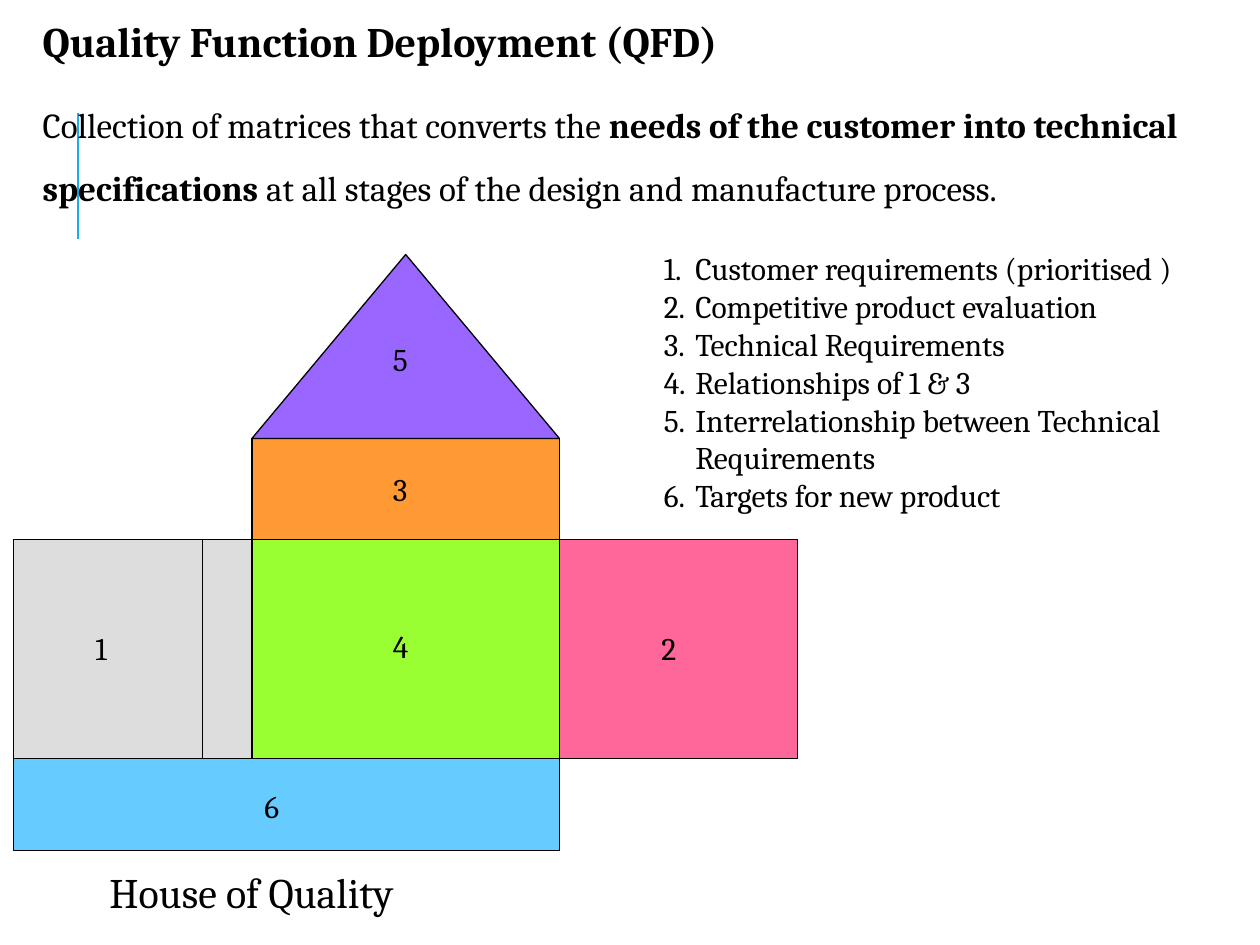
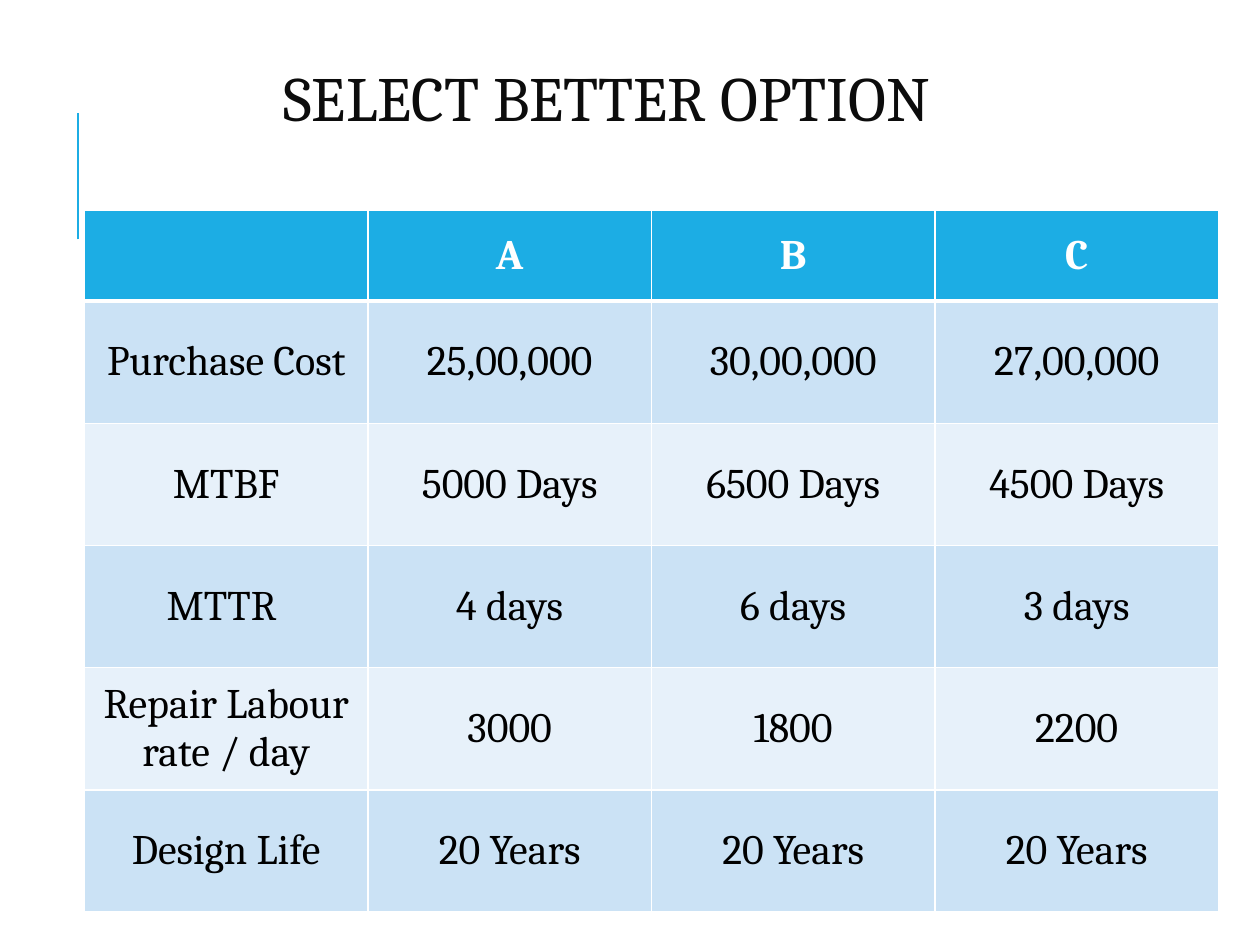
from dataclasses import dataclass

from lxml import etree
from pptx import Presentation
from pptx import util as u
from pptx.dml.color import RGBColor
from pptx.enum import shapes, text
from pptx.oxml import ns

SCALE = u.Inches(1) // 100
BOX = shapes.MSO_SHAPE.RECTANGLE
ROOF = shapes.MSO_SHAPE.ISOSCELES_TRIANGLE
MID = text.PP_ALIGN.CENTER


@dataclass(frozen=True)
class Theme:
    font: str = "Cambria"
    ink: str = "000000"
    title: str = "0C0C0C"
    blue: str = "1CADE4"
    white: str = "FFFFFF"
    bands: tuple = ("CBE2F5", "E7F1FA")
    grey: str = "DDDDDD"
    green: str = "99FF33"
    orange: str = "FF9933"
    pink: str = "FF6699"
    sky: str = "66CCFF"
    violet: str = "9966FF"
    huge: int = 36
    large: int = 24
    body: int = 20
    small: int = 18


T = Theme()

COLS = (11, 161, 200, 444, 633)
ROWS = (202, 348, 428, 602, 675)
ROOMS = (
    (BOX, 0, 1, 2, 3, T.grey),
    (BOX, 1, 2, 2, 3, T.grey),
    (BOX, 2, 3, 2, 3, T.green),
    (BOX, 2, 3, 1, 2, T.orange),
    (BOX, 3, 4, 2, 3, T.pink),
    (BOX, 0, 3, 3, 4, T.sky),
    (ROOF, 2, 3, 0, 1, T.violet),
)
MARKS = (("1", 66, 494), ("2", 515, 494), ("3", 302, 368),
         ("4", 302, 493), ("5", 302, 265), ("6", 200, 620))
PARTS = (
    "Customer requirements (prioritised )",
    "Competitive product evaluation",
    "Technical Requirements",
    "Relationships of 1 & 3",
    "Interrelationship between Technical Requirements",
    "Targets for new product",
)
DATA = (
    ("", "A", "B", "C"),
    ("Purchase Cost", "25,00,000", "30,00,000", "27,00,000"),
    ("MTBF", "5000 Days", "6500 Days", "4500 Days"),
    ("MTTR ", "4 days", "6 days", "3 days"),
    ("Repair Labour rate / day", "3000", "1800", "2200"),
    ("Design Life", "20 Years", "20 Years", "20 Years"),
)


def px(*nums):
    return [n * SCALE for n in nums]


def rgb(code):
    return RGBColor.from_string(code)


def add_sub(node, tag, **attrs):
    return etree.SubElement(node, ns.qn(tag), **attrs)


def add_run(para, words, size, bold=False, ink=T.ink):
    run = para.add_run()
    run.text = words
    font = run.font
    font.name, font.size, font.bold = T.font, u.Pt(size), bold
    font.color.rgb = rgb(ink)


def add_box(slide, *place):
    frame = slide.shapes.add_textbox(*px(*place)).text_frame
    frame.word_wrap = True
    return frame


def add_label(slide, words, size, *place):
    add_run(add_box(slide, *place).paragraphs[0], words, size)


def add_room(slide, kind, left, right, top, base, fill):
    x, y = COLS[left], ROWS[top]
    room = slide.shapes.add_shape(
        kind, *px(x, y, COLS[right] - x, ROWS[base] - y))
    room.shadow.inherit = False
    room.fill.solid()
    room.fill.fore_color.rgb = rgb(fill)
    room.line.color.rgb = rgb(T.ink)
    room.line.width = u.Pt(0.75)


def add_list(slide, items, *place):
    frame = add_box(slide, *place)
    for i, item in enumerate(items):
        para = frame.add_paragraph() if i else frame.paragraphs[0]
        props = para._p.get_or_add_pPr()
        indent, hang = px(43, -25)
        props.set("marL", str(indent))
        props.set("indent", str(hang))
        tint = add_sub(props, "a:buClr")
        add_sub(tint, "a:srgbClr", val=T.ink)
        add_sub(props, "a:buFont", typeface="+mj-lt")
        add_sub(props, "a:buAutoNum", type="arabicPeriod")
        add_run(para, item, T.small)


def add_edge(cell, side, width):
    edge = add_sub(cell._tc.get_or_add_tcPr(), f"a:ln{side}",
                   w=str(u.Pt(width)))
    add_sub(add_sub(edge, "a:solidFill"), "a:srgbClr", val=T.white)


def fill_cell(cell, words, row):
    head = row == 0
    for side in "LRTB":
        thick = (head and side == "B") or (row == 1 and side == "T")
        add_edge(cell, side, 3 if thick else 1)
    cell.fill.solid()
    cell.fill.fore_color.rgb = rgb(T.blue if head else T.bands[(row - 1) % 2])
    cell.vertical_anchor = text.MSO_ANCHOR.MIDDLE
    if words:
        para = cell.text_frame.paragraphs[0]
        para.alignment = MID
        add_run(para, words, T.large, head, T.white if head else T.ink)


def add_grid(slide, data, left, top, wide, first, high):
    rows, cols = len(data), len(data[0])
    place = px(left, top, wide * cols, first + high * (rows - 1))
    table = slide.shapes.add_table(rows, cols, *place).table
    for col in table.columns:
        col.width = wide * SCALE
    for r, row in enumerate(data):
        table.rows[r].height = (high if r else first) * SCALE
        for c, words in enumerate(row):
            fill_cell(table.cell(r, c), words, r)


def add_slide(deck):
    slide = deck.slides.add_slide(deck.slide_layouts[6])
    rule = slide.shapes.add_connector(
        shapes.MSO_CONNECTOR.STRAIGHT, *px(62, 190, 62, 90))
    rule.line.color.rgb = rgb(T.blue)
    rule.line.width = u.Pt(1.5)
    add_sub(rule._element.spPr, "a:effectLst")
    return slide


def add_intro(slide):
    frame = add_box(slide, 24, 7, 953, 162)
    add_run(frame.paragraphs[0], "Quality Function Deployment (QFD)",
            T.large, True)
    para = frame.add_paragraph()
    para.line_spacing = 1.5
    para.space_before = u.Pt(10)
    add_run(para, "Collection of matrices that converts the ", T.body)
    add_run(para, "needs of the customer into technical specifications ",
            T.body, True)
    add_run(para, "at all stages of the design and manufacture process.",
            T.body)


def add_title(slide, words):
    frame = add_box(slide, 83, 0, 797, 164)
    frame.vertical_anchor = text.MSO_ANCHOR.MIDDLE
    para = frame.paragraphs[0]
    para.alignment = MID
    para.line_spacing = 0.8
    add_run(para, words, T.huge, ink=T.title)


def main():
    deck = Presentation()
    deck.slide_width, deck.slide_height = px(1000, 750)

    house = add_slide(deck)
    add_list(house, PARTS, 499, 193, 497, 268)
    add_label(house, "House of Quality", T.large, 77, 683, 315, 50)
    for room in ROOMS:
        add_room(house, *room)
    for words, x, y in MARKS:
        add_label(house, words, T.small, x, y, 63, 40)
    add_intro(house)

    choice = add_slide(deck)
    add_title(choice, "SELECT BETTER OPTION")
    add_grid(choice, DATA, 67, 167, 225, 72, 97)

    deck.save("out.pptx")


if __name__ == "__main__":
    main()
